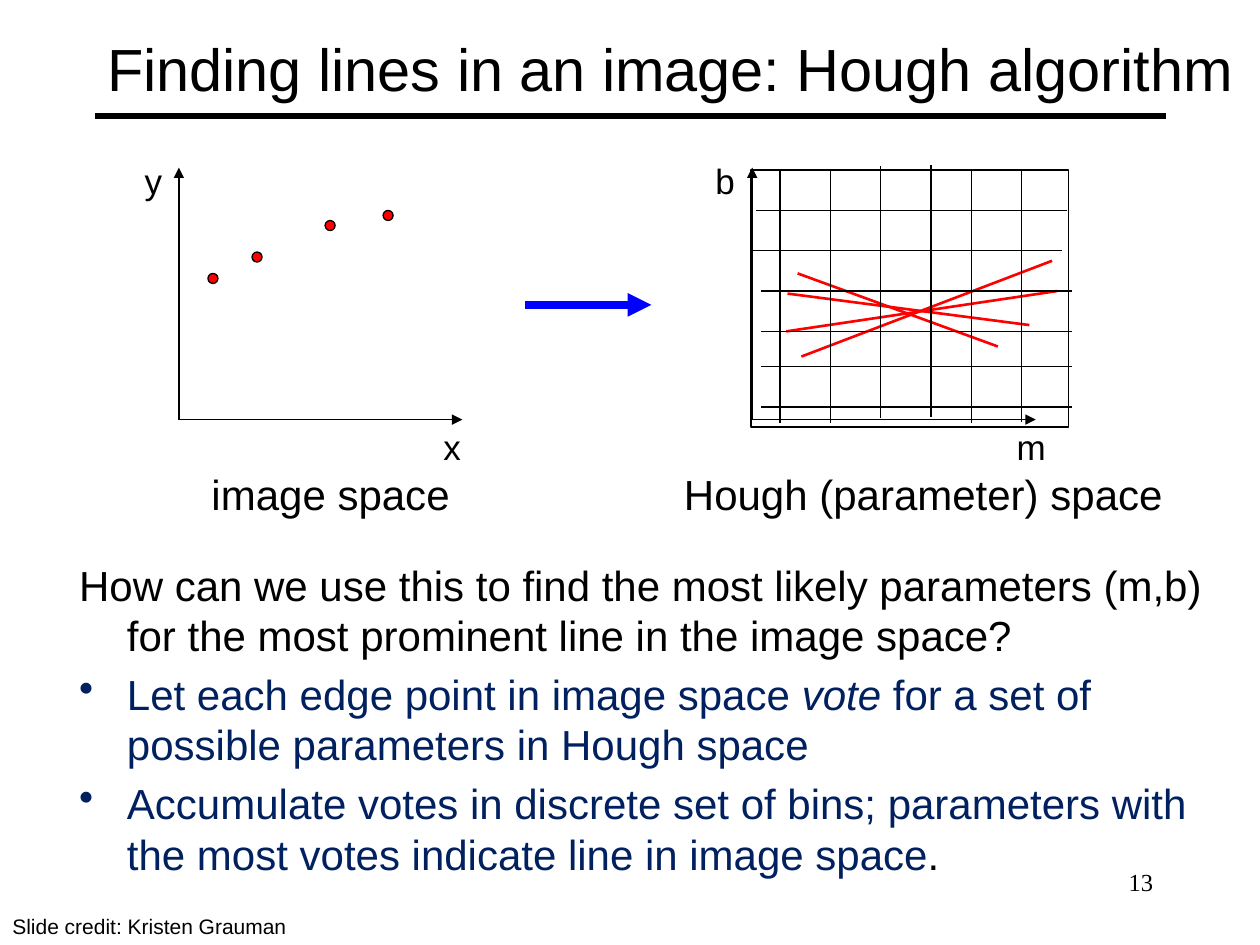
from lxml import etree
from pptx import Presentation
from pptx.dml.color import RGBColor
from pptx.enum.shapes import MSO_CONNECTOR, MSO_SHAPE
from pptx.enum.text import MSO_ANCHOR, PP_ALIGN
from pptx.oxml.ns import qn
from pptx.util import Inches, Pt

STRAIGHT = MSO_CONNECTOR.STRAIGHT
RECTANGLE, ELLIPSE = MSO_SHAPE.RECTANGLE, MSO_SHAPE.OVAL
LEFT, RIGHT = PP_ALIGN.LEFT, PP_ALIGN.RIGHT
TOP, MIDDLE = MSO_ANCHOR.TOP, MSO_ANCHOR.MIDDLE

COLORS = {"black": "000000", "red": "FF0000", "blue": "0000FF", "navy": "002060"}
POINTS = [(1.65, 2.17), (2, 2), (2.58, 1.75), (3.04, 1.67)]
VOTES = [
    ((6.33, 2.17), (7.92, 2.75)),
    ((6.25, 2.33), (8.17, 2.58)),
    ((6.36, 2.83), (8.35, 2.07)),
    ((6.24, 2.63), (8.39, 2.31)),
]
ROWS = [(6, 1.67), (5.96, 1.99), (6.04, 2.31), (6.04, 2.63), (6.04, 2.91), (6.04, 3.23)]
COLUMNS = [(6.19, 1.36), (6.59, 1.36), (6.99, 1.32), (7.39, 1.31), (7.71, 1.36), (8.11, 1.35)]
ROW_LENGTH, COLUMN_LENGTH = 2.47, 2
BODY = [
    (False, [("How can we use this to find the most likely parameters (m,b) "
              "for the most prominent line in the image space?", "black", False)]),
    (True, [("Let each edge point in image space ", "navy", False),
            ("vote ", "navy", True),
            ("for a set of possible parameters in Hough space", "navy", False)]),
    (True, [("Accumulate votes in discrete set of bins; parameters with "
             "the most votes indicate line in image space", "navy", False),
            (".", "black", False)]),
]


def rgb(name):
    """Return the named colour."""
    return RGBColor.from_string(COLORS[name])


def style_font(font, size, color="black", name="Arial", italic=False):
    """Set the face, size, colour and slant of a font."""
    font.name, font.size, font.italic = name, Pt(size), italic
    font.color.rgb = rgb(color)


def add_text(page, text, left, top, width, height, size, font="Arial", align=LEFT, wrap=False):
    """Add a one-paragraph text box."""
    box = page.shapes.add_textbox(Inches(left), Inches(top), Inches(width), Inches(height))
    box.text_frame.word_wrap = wrap
    box.text_frame.vertical_anchor = TOP
    para = box.text_frame.paragraphs[0]
    para.alignment = align
    span = para.add_run()
    span.text = text
    style_font(span.font, size, name=font)


def add_line(shapes, start, end, color="black", width=0.75, arrow=False):
    """Add a straight line, with an arrowhead at its end if asked."""
    line = shapes.add_connector(STRAIGHT, *(Inches(value) for value in (*start, *end)))
    line.line.color.rgb = rgb(color)
    line.line.width = Pt(width)
    properties = line.element.spPr
    if arrow:
        etree.SubElement(properties.find(qn("a:ln")), qn("a:tailEnd"), type="triangle")
    etree.SubElement(properties, qn("a:effectLst"))


def add_outlined(shapes, kind, left, top, width, height, fill=None):
    """Add a preset shape with a thin black outline."""
    shape = shapes.add_shape(kind, Inches(left), Inches(top), Inches(width), Inches(height))
    shape.shadow.inherit = False
    if fill:
        shape.fill.solid()
        shape.fill.fore_color.rgb = rgb(fill)
    else:
        shape.fill.background()
    shape.line.color.rgb = rgb("black")
    shape.line.width = Pt(0.75)


def add_title(page, text):
    """Fill the title placeholder and underline it with a rule."""
    add_line(page.shapes, (0.75, 0.92), (9.25, 0.92), width=3)
    title = page.shapes.title
    title.left, title.top = Inches(0.75), Inches(0.08)
    title.width, title.height = Inches(9.25), Inches(0.92)
    title.text_frame.text = text
    title.text_frame.vertical_anchor = MIDDLE
    para = title.text_frame.paragraphs[0]
    para.alignment = LEFT
    style_font(para.runs[0].font, 34)


def add_body(page):
    """Add the question and its bulleted answers."""
    box = page.shapes.add_textbox(Inches(0.53), Inches(4.39), Inches(9.14), Inches(2.08))
    frame = box.text_frame
    frame.word_wrap = True
    for index, (bulleted, spans) in enumerate(BODY):
        para = frame.add_paragraph() if index else frame.paragraphs[0]
        properties = para._p.get_or_add_pPr()
        properties.set("marL", str(Inches(0.38)))
        properties.set("indent", str(Inches(-0.38)))
        if bulleted:
            etree.SubElement(properties, qn("a:buChar"), char="•")
        if index:
            para.space_before = Pt(4.8)
        for text, color, italic in spans:
            span = para.add_run()
            span.text = text
            style_font(span.font, 24, color, italic=italic)


def add_axes(page, left, across, across_width, up, up_width):
    """Add a pair of labelled axes whose origin is at the given left."""
    origin = (left, 3.33)
    add_line(page.shapes, origin, (left, 1.33), width=1, arrow=True)
    add_line(page.shapes, origin, (left + 2.25, 3.33), width=1, arrow=True)
    add_text(page, across, left + 2, 3.33, across_width, 0.43, 20)
    add_text(page, up, left - 0.03 - up_width, 1.22, up_width, 0.43, 20)


def add_bins(page):
    """Add the grid of vote bins as one group."""
    shapes = page.shapes.add_group_shape().shapes
    add_outlined(shapes, RECTANGLE, 5.96, 1.35, 2.52, 2.04)
    for left, top in ROWS:
        add_line(shapes, (left, top), (left + ROW_LENGTH, top))
    for left, top in COLUMNS:
        add_line(shapes, (left, top), (left, top + COLUMN_LENGTH))


def main():
    """Build the slide and save it."""
    deck = Presentation()
    deck.slide_width, deck.slide_height = Inches(10), Inches(7.5)
    page = deck.slides.add_slide(deck.slide_layouts[5])
    add_title(page, "Finding lines in an image: Hough algorithm")
    add_body(page)
    add_axes(page, 1.42, "x", 0.34, "y", 0.34)
    add_axes(page, 5.97, "m", 0.43, "b", 0.36)
    add_text(page, "image space", 1.58, 3.67, 2.09, 0.5, 24)
    add_text(page, "Hough (parameter) space", 5.33, 3.67, 4.04, 0.5, 24)
    add_line(page.shapes, (4.17, 2.42), (5.17, 2.42), "blue", 4.5, arrow=True)
    for left, top in POINTS:
        add_outlined(page.shapes, ELLIPSE, left, top, 0.08, 0.08, "red")
    for start, end in VOTES:
        add_line(page.shapes, start, end, "red", 1.5)
    add_bins(page)
    add_text(page, "13", 7.17, 6.83, 2.08, 0.5, 14, "Times New Roman", RIGHT, wrap=True)
    add_text(page, "Slide credit: Kristen Grauman", 0, 7.2, 6.5, 0.3, 12, wrap=True)
    deck.save("out.pptx")


if __name__ == "__main__":
    main()
